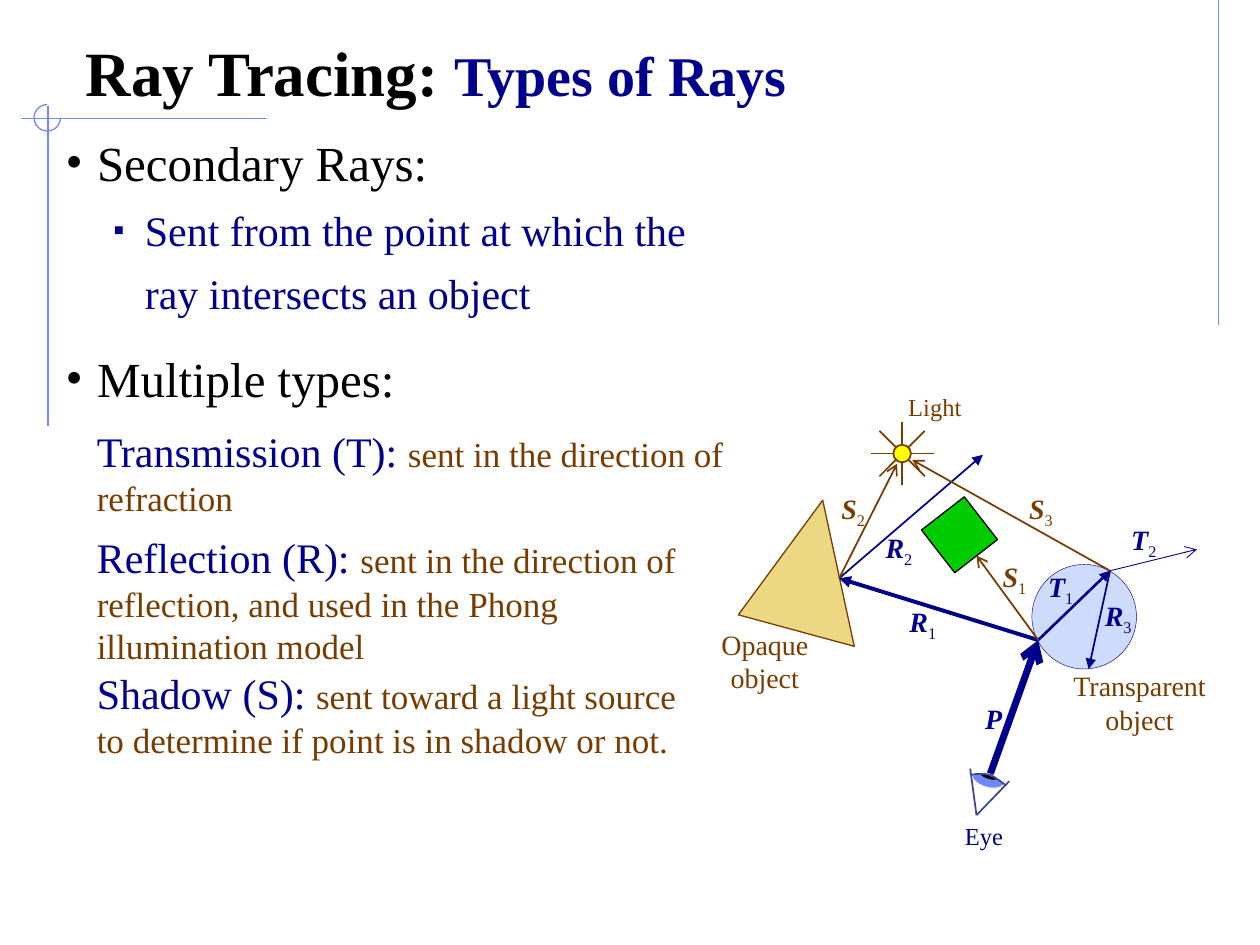
from lxml.etree import SubElement
from pptx import Presentation
from pptx.dml.color import RGBColor
from pptx.enum.shapes import MSO_CONNECTOR, MSO_SHAPE
from pptx.enum.text import MSO_ANCHOR, MSO_AUTO_SIZE, PP_ALIGN
from pptx.oxml.ns import qn
from pptx.util import Inches, Pt

NAVY, BROWN, BLACK = "00008C", "783C00", "000000"
RULE, EYE_LINE = "6F89F7", "40458C"
LEFT, CENTER, RIGHT = PP_ALIGN.LEFT, PP_ALIGN.CENTER, PP_ALIGN.RIGHT
color = RGBColor.from_string

prs = Presentation()
prs.slide_width, prs.slide_height = Inches(10), Inches(7.5)
slide = prs.slides.add_slide(prs.slide_layouts[1])
shapes = slide.shapes
CELL = prs.slide_width / 100  # grid of 100 columns by 75 rows


def connect(start, end, hue, width, head=None):
    """Draw a straight line between two grid points, with an optional arrowhead."""
    ends = [round(v * CELL) for v in (*start, *end)]
    connector = shapes.add_connector(MSO_CONNECTOR.STRAIGHT, *ends)
    connector.line.color.rgb = color(hue)
    connector.line.width = Pt(width)
    if head:
        ln = connector.line._get_or_add_ln()
        SubElement(ln, qn("a:tailEnd"), type=head)
    SubElement(connector._element.spPr, qn("a:effectLst"))
    return connector


def add_run(paragraph, text, size, hue, bold=False, italic=False):
    run = paragraph.add_run()
    run.text = text
    run.font.name = "Times New Roman"
    run.font.size = Pt(size)
    run.font.bold, run.font.italic = bold, italic
    run.font.color.rgb = color(hue)
    return run


# Decorative rules with a three-quarter circle at their crossing
for start, end in [((96.7, 0), (96.7, 25.8)), ((21.2, 9.4), (1.7, 9.4)),
                   ((3.8, 8.4), (3.8, 33.8))]:
    connect(start, end, RULE, 0.75)
ring = shapes.add_shape(MSO_SHAPE.ARC, *[round(v * CELL) for v in (2.7, 8.3, 2.1, 2.1)])
ring.adjustments[0], ring.adjustments[1] = 0, 162  # 0 to 270 degrees
ring.fill.background()
ring.line.color.rgb = color(RULE)
ring.line.width = Pt(0.75)
ring.shadow.inherit = False

# Title and list
title, body = shapes.title, slide.placeholders[1]
for holder, box, anchor in [(title, (5.8, 2.5, 88.3, 6.7), MSO_ANCHOR.BOTTOM),
                            (body, (4.2, 10, 92.5, 24.2), MSO_ANCHOR.TOP)]:
    holder.left, holder.top, holder.width, holder.height = [round(v * CELL) for v in box]
    holder.text_frame.auto_size = MSO_AUTO_SIZE.NONE
    holder.text_frame.vertical_anchor = anchor

heading = title.text_frame.paragraphs[0]
heading.alignment = LEFT
add_run(heading, "Ray Tracing: ", 36, BLACK, bold=True)
add_run(heading, "Types of Rays", 32, NAVY, bold=True)

items = [("Secondary Rays:", 0, "•", 0),
         ("Sent from the point at which the", 1, "▪", 7.5),
         ("ray intersects an object", 1, None, 7.5),
         ("Multiple types:", 0, "•", 17.5)]
for i, (text, level, bullet, before) in enumerate(items):
    item = body.text_frame.paragraphs[0] if i == 0 else body.text_frame.add_paragraph()
    size, hue, margin = [(28, BLACK, 0.25), (24, NAVY, 0.63)][level]
    item.level = level
    item.line_spacing = 1.0
    item.space_before = Pt(before)
    pPr = item._p.get_or_add_pPr()
    pPr.set("marL", str(Inches(margin)))
    pPr.set("indent", str(Inches(-0.25 if bullet else 0)))
    if bullet:
        SubElement(SubElement(pPr, qn("a:buClr")), qn("a:srgbClr"), val=hue)
        SubElement(pPr, qn("a:buSzPct"), val="75000" if level else "100000")
        SubElement(pPr, qn("a:buFont"), typeface="Times New Roman")
        SubElement(pPr, qn("a:buChar"), char=bullet)
    else:
        SubElement(pPr, qn("a:buNone"))
    add_run(item, text, size, hue)

# Eye and opaque object: start point, then corners (2 values) or curves (6 values)
outlines = [
    ((77.7, 61.5), [(77.8, 61.4, 78.1, 61.5, 78.4, 61.5), (78.6, 61.6, 79.1, 61.8, 79.2, 61.9),
                    (79.2, 61.9, 78.9, 62, 78.8, 62), (78.7, 62, 78.5, 62, 78.4, 61.9),
                    (78.2, 61.9, 77.9, 61.7, 77.8, 61.6)], BLACK, None, 0),
    ((79.4, 62), [(79.3, 62.2, 78.8, 62.3, 78.3, 62.1), (77.9, 62, 77.5, 61.7, 77.5, 61.5)],
     None, RULE, 4.5),
    ((77.1, 61.5), [(77.6, 61.4, 78.1, 61.4, 78.6, 61.5), (79, 61.7, 79.4, 62, 79.8, 62.3)],
     None, EYE_LINE, 1),
    ((65.3, 39.7), [(58.6, 48.8), (67.8, 51.3)], "ECD882", BROWN, 0.75),
]
for start, segments, fill, stroke, width in outlines:
    points = [start]
    for segment in segments:
        if len(segment) == 2:
            points.append(segment)
            continue
        knots = [points[-1], segment[:2], segment[2:4], segment[4:]]
        for t in (k / 8 for k in range(1, 9)):
            weights = ((1 - t) ** 3, 3 * t * (1 - t) ** 2, 3 * t * t * (1 - t), t ** 3)
            points.append(tuple(sum(w * knot[axis] for w, knot in zip(weights, knots))
                                for axis in (0, 1)))
    first, *others = [[round(v * CELL) for v in point] for point in points]
    builder = shapes.build_freeform(*first)
    builder.add_line_segments(others, close=bool(fill))
    outline = builder.convert_to_shape()
    outline.shadow.inherit = False
    if fill:
        outline.fill.solid()
        outline.fill.fore_color.rgb = color(fill)
    else:
        outline.fill.background()
    if stroke:
        outline.line.color.rgb = color(stroke)
        outline.line.width = Pt(width)
    else:
        outline.line.fill.background()
for corner in [(77, 61), (80.1, 62)]:
    connect((77.5, 64.7), corner, EYE_LINE, 1)

# Light beams, then transparent object, lamp and blocking square
for start, end in [((71.6, 33.5), (71.6, 38.5)), ((69.1, 36), (74.1, 36)),
                   ((69.8, 34.2), (73.4, 37.8)), ((69.8, 37.8), (73.4, 34.2))]:
    connect(start, end, BROWN, 1)
for preset, left, top, side, turn, fill, stroke, width in [
        (MSO_SHAPE.OVAL, 81.9, 44.8, 8.3, 0, "CFDBFD", NAVY, 0.25),
        (MSO_SHAPE.OVAL, 70.9, 35.3, 1.4, 0, "FFFF00", BROWN, 1),
        (MSO_SHAPE.RECTANGLE, 74, 40.3, 4.3, 52.2, "00CC00", BLACK, 0.75)]:
    solid = shapes.add_shape(preset, *[round(v * CELL) for v in (left, top, side, side)])
    solid.rotation = turn
    solid.fill.solid()
    solid.fill.fore_color.rgb = color(fill)
    solid.line.color.rgb = color(stroke)
    solid.line.width = Pt(width)
    solid.shadow.inherit = False
blocker = solid

# Rays
entry, leave, bounce = (82.4, 50.8), (88.1, 45.3), (66.6, 45.9)
for start, end, hue, width, head in [
        ((78.6, 61.4), entry, NAVY, 4, "arrow"),
        (entry, bounce, NAVY, 2.25, "triangle"),
        (bounce, (78, 36.1), NAVY, 1, "triangle"),
        (leave, (86.4, 53.1), NAVY, 1, "triangle"),
        (entry, leave, NAVY, 1.5, "triangle"),
        (leave, (95, 43.6), NAVY, 0.5, "arrow"),
        (leave, (72.4, 36.5), BROWN, 1, "arrow"),
        (bounce, (71.2, 36.8), BROWN, 1, "arrow")]:
    connect(start, end, hue, width, head)
blocked_at = (77.5, 44.1)
blocked = connect(entry, blocked_at, BROWN, 1, "arrow")
blocked.end_connect(blocker, 3)
blocked.end_x, blocked.end_y = [round(v * CELL) for v in blocked_at]  # side is rotated

# Labels and definitions: box, wrap, alignment, runs of (text, size, colour, bold, italic)
texts = [((75.6, 64.7, 5, 3.4), False, LEFT, [("Eye", 14, NAVY)]),
         ((71.1, 30.6, 6.2, 3.4), False, LEFT, [("Light", 14, BROWN)]),
         ((56.1, 49.3, 9.2, 6.4), True, CENTER, [("Opaque object", 16, BROWN)]),
         ((84.1, 52.6, 12.7, 6.4), True, CENTER, [("Transparent object", 16, BROWN)]),
         ((77.2, 55.2, 3.3, 3.7), False, RIGHT, [("P", 16, NAVY, True, True)])]
for letter, number, left, top, hue in [
        ("R", "1", 71.2, 47.5, NAVY), ("R", "2", 69.3, 41.6, NAVY), ("R", "3", 86.7, 47, NAVY),
        ("T", "1", 82.2, 44.7, NAVY), ("T", "2", 88.8, 41, NAVY),
        ("S", "3", 80.7, 38.5, BROWN), ("S", "1", 78.6, 43.9, BROWN),
        ("S", "2", 65.8, 38.5, BROWN)]:
    texts.append(((left, top, 4.3, 4.1), False, LEFT,
                  [(letter, 16, hue, True, True), (number, 16, hue)]))
for term, meaning, top, width, height in [
        ("Reflection (R): ", "sent in the direction of reflection, and used in the Phong "
         "illumination model", 41.7, 51.7, 11.7),
        ("Transmission (T): ", "sent in the direction of refraction", 33.3, 52.5, 8.4),
        ("Shadow (S): ", "sent toward a light source to determine if point is in shadow or not.",
         52.5, 50, 8.4)]:
    texts.append(((6.7, top, width, height), True, LEFT,
                  [(term, 24, NAVY), (meaning, 20, BROWN)]))

for box, wrap, alignment, runs in texts:
    frame = shapes.add_textbox(*[round(v * CELL) for v in box]).text_frame
    frame.word_wrap = wrap
    frame.auto_size = MSO_AUTO_SIZE.SHAPE_TO_FIT_TEXT
    line = frame.paragraphs[0]
    line.alignment = alignment
    for run_values in runs:
        run = add_run(line, *run_values)
        if run.text.isdigit():
            run._r.get_or_add_rPr().set("baseline", "-25000")

prs.save("out.pptx")
